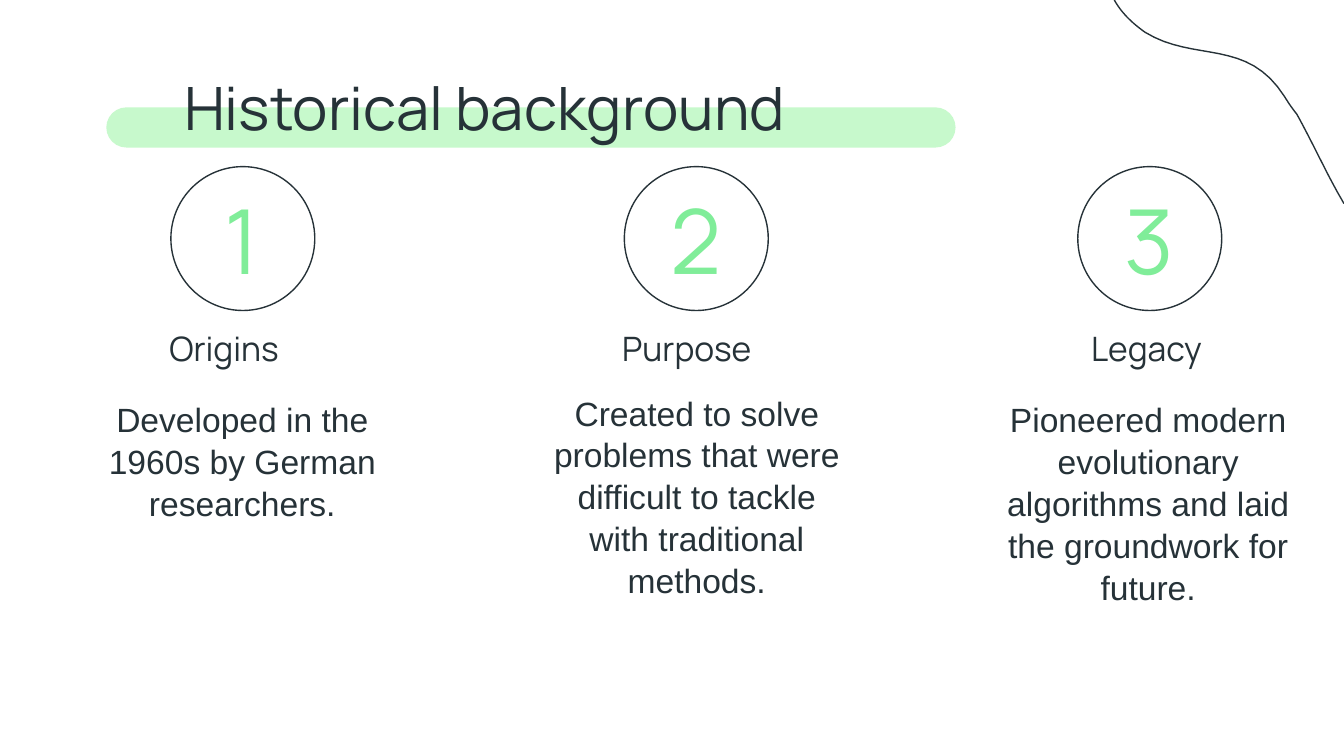
from pptx import Presentation
from pptx.dml.color import RGBColor
from pptx.enum.shapes import MSO_SHAPE
from pptx.enum.text import MSO_ANCHOR, PP_ALIGN
from pptx.util import Cm, Pt

DARK = RGBColor(0x26, 0x32, 0x38)
GREEN = RGBColor(0x80, 0xED, 0x99)
PALE = RGBColor(0xC7, 0xF9, 0xCC)

HEAD = {"size": Pt(32), "name": "Manrope"}
DIGIT = {"size": Pt(48), "name": "Manrope"}
LABEL = {"size": Pt(18), "name": "Manrope"}
BODY = {"size": Pt(18), "name": "Arial"}

deck = Presentation()
deck.slide_width, deck.slide_height = Cm(25.4), Cm(14.29)
slide = deck.slides.add_slide(deck.slide_layouts[6])
shapes = slide.shapes


def add_text(text, box, font, color=DARK, align=PP_ALIGN.LEFT,
             anchor=MSO_ANCHOR.TOP, inset=0.25, lead=None):
    frame = shapes.add_textbox(*map(Cm, box)).text_frame
    sides = {"margin_left": Cm(0.25), "margin_right": Cm(0.25),
             "margin_top": Cm(inset), "margin_bottom": Cm(inset)}
    for key, value in {**sides, "word_wrap": True, "vertical_anchor": anchor}.items():
        setattr(frame, key, value)
    par = frame.paragraphs[0]
    par.alignment = align
    par.line_spacing = lead
    run = par.add_run()
    run.text = text
    for key, value in font.items():
        setattr(run.font, key, value)
    run.font.color.rgb = color


def set_line(shape):
    shape.shadow.inherit = False
    shape.fill.background()
    shape.line.color.rgb = DARK
    shape.line.width = Pt(0.75)


bar = shapes.add_shape(MSO_SHAPE.ROUNDED_RECTANGLE, Cm(2.01), Cm(2.03), Cm(16.05), Cm(0.76))
bar.adjustments[0] = 0.5
bar.shadow.inherit = False
bar.fill.solid()
bar.fill.fore_color.rgb = PALE
bar.line.fill.background()

start = (21.06, 0)
curves = [
    ((21.2, 0.25), (21.39, 0.43), (21.64, 0.61)),
    ((22.58, 1.19), (23.57, 0.71), (24.28, 1.83)),
    ((24.36, 1.96), (24.43, 2.06), (24.51, 2.16)),
    ((24.82, 2.72), (25.07, 3.28), (25.35, 3.76)),
]
steps = 16
points = []
last = start
for first, second, end in curves:
    for step in range(1, steps + 1):
        t = step / steps
        u = 1 - t
        x, y = (u**3 * a + 3 * u * u * t * b + 3 * u * t * t * c + t**3 * d
                for a, b, c, d in zip(last, first, second, end))
        points.append((Cm(x), Cm(y)))
    last = end
points.append((Cm(25.4), Cm(3.85)))
wave = shapes.build_freeform(*map(Cm, start))
wave.add_line_segments(points, close=False)
set_line(wave.convert_to_shape())

add_text("Historical background", (3.23, 1.09, 21.41, 1.7), HEAD)

parts = [
    ("Origins", 2.95, "Developed in the 1960s by German researchers.",
     (1.52, 7.26, 6.12, 4.47), 0.25),
    ("Purpose", 11.51, "Created to solve problems that were difficult to tackle "
     "with traditional methods.", (10.21, 7.26, 5.92, 4.88), 0.13),
    ("Legacy", 20.37, "Pioneered modern evolutionary algorithms and laid "
     "the groundwork for future.", (18.64, 7.26, 6.12, 2.36), 0.25),
]
for count, (label, left, body, box, inset) in enumerate(parts):
    x = 3.23 + 8.57 * count
    ring = shapes.add_shape(MSO_SHAPE.OVAL, Cm(x), Cm(3.15), Cm(2.72), Cm(2.72))
    set_line(ring)
    add_text(str(count + 1), (x + 0.12, 3.53, 2.46, 1.96), DIGIT, GREEN,
             PP_ALIGN.CENTER, MSO_ANCHOR.MIDDLE)
    add_text(label, (left, 5.94, 6.12, 1.04), LABEL)
    add_text(body, box, BODY, align=PP_ALIGN.CENTER, inset=inset, lead=1.04)

deck.save("out.pptx")
